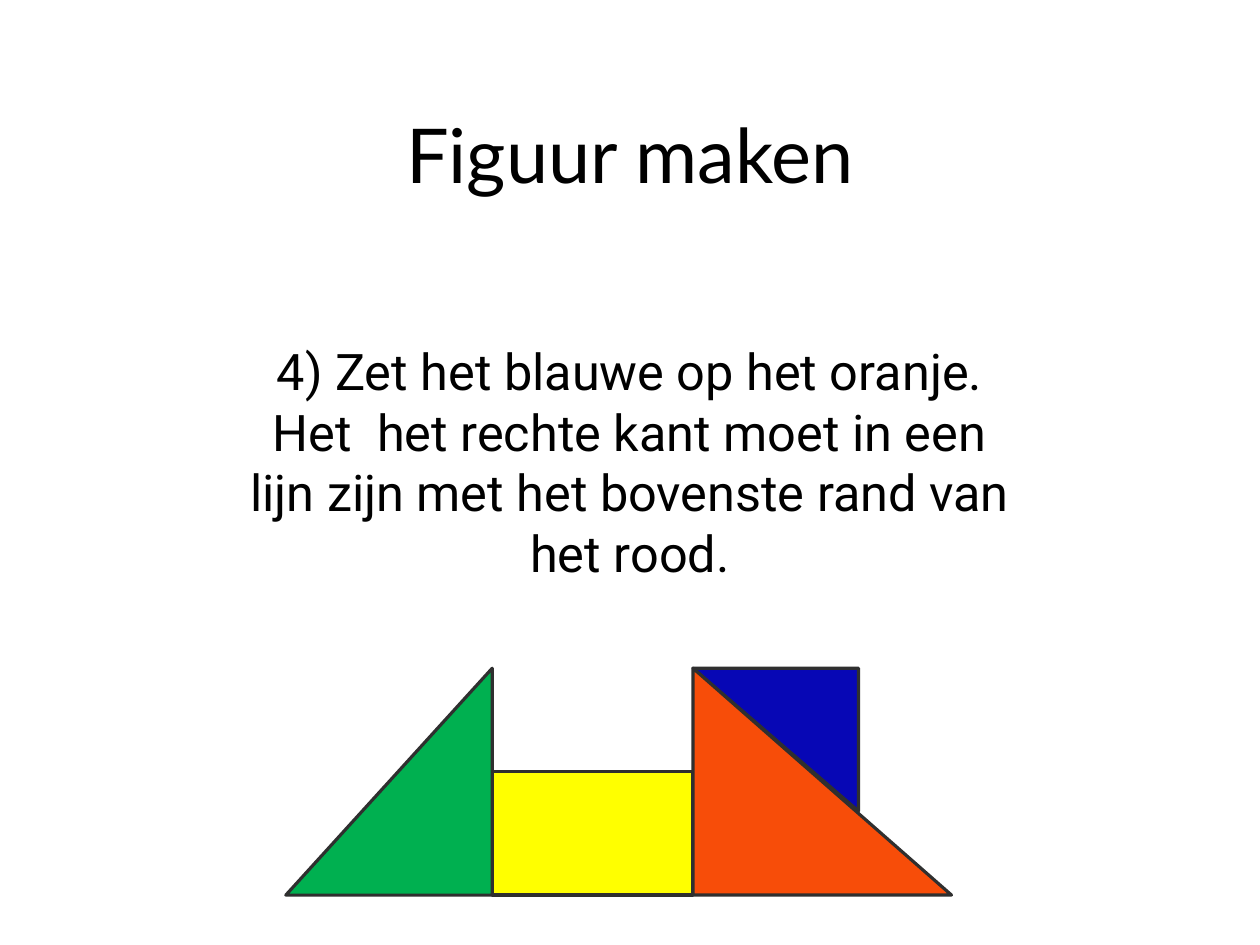
from pptx import Presentation
from pptx.dml.color import RGBColor
from pptx.enum.shapes import MSO_SHAPE
from pptx.enum.text import MSO_ANCHOR, MSO_AUTO_SIZE, PP_ALIGN
from pptx.util import Emu, Pt

RECTANGLE = MSO_SHAPE.RECTANGLE
TRIANGLE = MSO_SHAPE.RIGHT_TRIANGLE
TOP = MSO_ANCHOR.TOP
NO_AUTOFIT = MSO_AUTO_SIZE.NONE
CENTER = PP_ALIGN.CENTER

EMU_PER_PX = 9144
TITLE_ONLY = 5
INSET = 10
BLACK = "000000"
OUTLINE = "2F2F2F"


def px(length):
    """Turn px (100 to the inch) into EMU."""
    return Emu(round(length * EMU_PER_PX))


def color(hex_string):
    """Turn a hex string into a colour."""
    return RGBColor.from_string(hex_string)


def write_text(shape, text, font_name, size):
    """Fill a shape with centred black text at its top."""
    frame = shape.text_frame
    frame.word_wrap = True
    frame.auto_size = NO_AUTOFIT
    frame.vertical_anchor = TOP
    frame.margin_left = frame.margin_right = px(INSET)
    frame.margin_top = frame.margin_bottom = px(INSET)
    frame.text = text
    paragraph = frame.paragraphs[0]
    paragraph.alignment = CENTER
    paragraph.font.name = font_name
    paragraph.font.size = Pt(size)
    paragraph.font.color.rgb = color(BLACK)


def add_title(slide, left, top, width, height):
    """Place and format the slide title."""
    title = slide.shapes.title
    title.left, title.top = px(left), px(top)
    title.width, title.height = px(width), px(height)
    write_text(title, "Figuur maken", "Lato", 48)


def add_instruction(slide, left, top, width, height):
    """Place the building instruction."""
    box = slide.shapes.add_textbox(px(left), px(top), px(width), px(height))
    write_text(
        box,
        "4) Zet het blauwe op het oranje. Het  het rechte kant moet in een "
        "lijn zijn met het bovenste rand van het rood.",
        "Roboto",
        32,
    )


def add_piece(slide, kind, left, top, width, height, fill, rotation=0):
    """Add an outlined piece that covers the given box once rotated."""
    if rotation % 180:
        left += (width - height) / 2
        top += (height - width) / 2
        width, height = height, width
    piece = slide.shapes.add_shape(
        kind, px(left), px(top), px(width), px(height))
    piece.rotation = rotation
    piece.shadow.inherit = False
    piece.fill.solid()
    piece.fill.fore_color.rgb = color(fill)
    piece.line.color.rgb = color(OUTLINE)
    piece.line.width = Pt(2)


def add_figure(slide, left, top, width, height):
    """Build the figure from pieces standing side by side on one base."""
    green_width, yellow_width, yellow_height = 182, 177, 109
    yellow_left = left + green_width
    orange_left = yellow_left + yellow_width
    orange_width = left + width - orange_left
    add_piece(slide, TRIANGLE, left, top, green_width, height, "00B050", 270)
    add_piece(slide, RECTANGLE, yellow_left, top + height - yellow_height,
              yellow_width, yellow_height, "FFFF00")
    add_piece(slide, TRIANGLE, orange_left, top, 146, 126, "0707B5", 180)
    add_piece(slide, TRIANGLE, orange_left, top, orange_width, height, "F74D09")


def main():
    """Build and save the presentation."""
    presentation = Presentation()
    presentation.slide_width, presentation.slide_height = px(1111), px(833)
    slide = presentation.slides.add_slide(
        presentation.slide_layouts[TITLE_ONLY])
    add_title(slide, 100, 85, 911, 133)
    add_instruction(slide, 200, 290, 711, 100)
    add_figure(slide, 252, 589, 587, 200)
    presentation.save("out.pptx")


if __name__ == "__main__":
    main()
